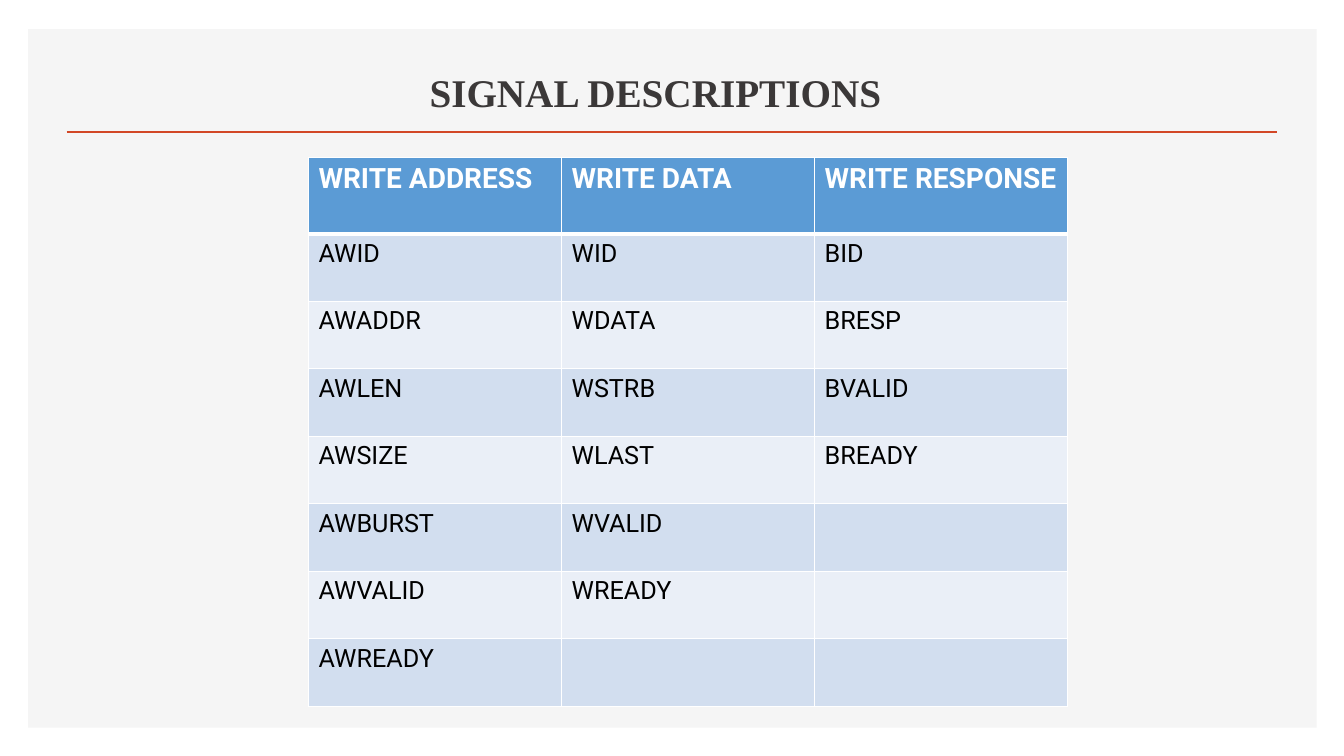
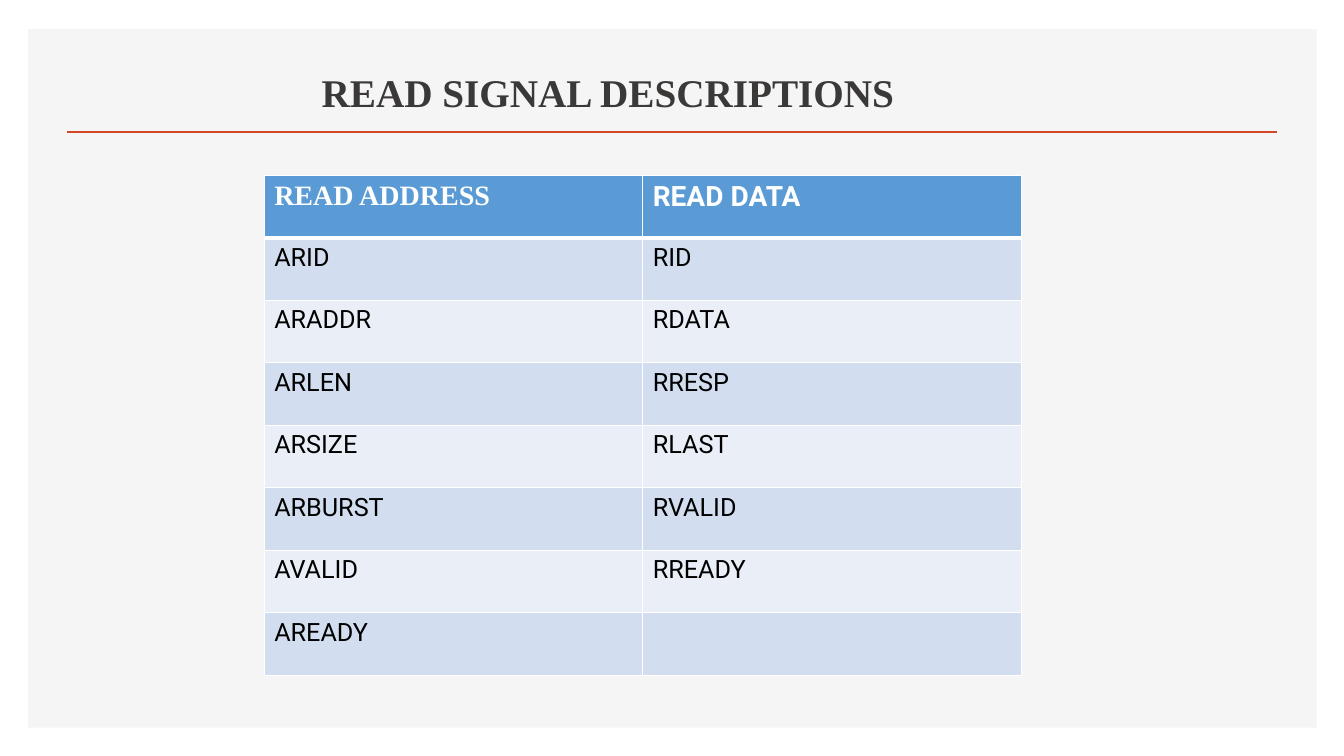
from lxml import etree
from pptx import Presentation
from pptx.dml.color import RGBColor
from pptx.enum.shapes import MSO_CONNECTOR, MSO_SHAPE
from pptx.enum.text import MSO_ANCHOR
from pptx.oxml.ns import qn
from pptx.util import Inches, Pt

COLORS = {
    "panel": "F5F5F5", "rule": "D24726", "title": "3B3838",
    "header": "5B9BD5", "odd": "D2DEEF", "even": "EAEFF7",
    "white": "FFFFFF", "black": "000000",
}
SERIF, SANS = "Times New Roman", "Roboto"

SLIDES = [
    {
        "title": "SIGNAL DESCRIPTIONS", "title_width": 11.24, "title_indent": 3.69,
        "left": 3.06, "top": 1.56, "col_width": 2.51,
        "header_height": 0.76, "row_height": 0.67,
        "header_fonts": [SANS, SANS, SANS],
        "rows": [
            ["WRITE ADDRESS", "WRITE DATA", "WRITE RESPONSE"],
            ["AWID", "WID", "BID"],
            ["AWADDR", "WDATA", "BRESP"],
            ["AWLEN", "WSTRB", "BVALID"],
            ["AWSIZE", "WLAST", "BREADY"],
            ["AWBURST", "WVALID", ""],
            ["AWVALID", "WREADY", ""],
            ["AWREADY", "", ""],
        ],
    },
    {
        "title": "READ SIGNAL DESCRIPTIONS", "title_width": 10.59, "title_indent": 2.62,
        "left": 2.62, "top": 1.74, "col_width": 3.755,
        "header_height": 0.62, "row_height": 0.62,
        "header_fonts": [SERIF, SANS],
        "rows": [
            ["READ ADDRESS", "READ DATA"],
            ["ARID", "RID"],
            ["ARADDR", "RDATA"],
            ["ARLEN", "RRESP"],
            ["ARSIZE", "RLAST"],
            ["ARBURST", "RVALID"],
            ["AVALID", "RREADY"],
            ["AREADY", ""],
        ],
    },
]


def rgb(name):
    return RGBColor.from_string(COLORS[name])


def set_borders(cell, top, bottom):
    """Draw white borders; top and bottom are widths in points, the sides are 1."""
    tc_pr = cell._tc.get_or_add_tcPr()
    for side, width in (("L", 1), ("R", 1), ("T", top), ("B", bottom)):
        ln = etree.SubElement(tc_pr, qn(f"a:ln{side}"), w=str(Pt(width)))
        fill = etree.SubElement(ln, qn("a:solidFill"))
        etree.SubElement(fill, qn("a:srgbClr"), val=COLORS["white"])


prs = Presentation()
prs.slide_width, prs.slide_height = Inches(13.33), Inches(7.5)

for data in SLIDES:
    s = prs.slides.add_slide(prs.slide_layouts[6])

    panel = s.shapes.add_shape(MSO_SHAPE.RECTANGLE, Inches(0.28), Inches(0.29),
                               Inches(12.78), Inches(6.93))
    panel.shadow.inherit = False
    panel.fill.solid()
    panel.fill.fore_color.rgb = rgb("panel")
    panel.line.fill.background()

    rule = s.shapes.add_connector(MSO_CONNECTOR.STRAIGHT, Inches(0.66), Inches(1.31),
                                  Inches(12.67), Inches(1.31))
    rule.line.color.rgb = rgb("rule")
    rule.line.width = Pt(2)
    etree.SubElement(rule._element.spPr, qn("a:effectLst"))

    title = s.shapes.add_textbox(Inches(0.57), Inches(0.49),
                                 Inches(data["title_width"]), Inches(0.7))
    tf = title.text_frame
    tf.word_wrap = True
    tf.vertical_anchor = MSO_ANCHOR.BOTTOM
    tf.margin_left = Inches(data["title_indent"])
    tf.text = data["title"]
    font = tf.paragraphs[0].runs[0].font
    font.name, font.size, font.bold = SERIF, Pt(28), True
    font.color.rgb = rgb("title")

    rows = data["rows"]
    n_rows, n_cols = len(rows), len(rows[0])
    height = data["header_height"] + (n_rows - 1) * data["row_height"]
    table = s.shapes.add_table(n_rows, n_cols, Inches(data["left"]), Inches(data["top"]),
                               Inches(n_cols * data["col_width"]), Inches(height)).table
    for col in table.columns:
        col.width = Inches(data["col_width"])

    for i, texts in enumerate(rows):
        is_header = i == 0
        table.rows[i].height = Inches(data["header_height" if is_header else "row_height"])
        fill = "header" if is_header else "odd" if i % 2 else "even"
        for j, text in enumerate(texts):
            cell = table.cell(i, j)
            set_borders(cell, top=3 if i == 1 else 1, bottom=3 if is_header else 1)
            cell.fill.solid()
            cell.fill.fore_color.rgb = rgb(fill)
            cell.text_frame.text = text
            for r in cell.text_frame.paragraphs[0].runs:
                r.font.name = data["header_fonts"][j] if is_header else SANS
                r.font.size = Pt(20 if is_header else 18)
                r.font.bold = is_header
                r.font.color.rgb = rgb("white" if is_header else "black")

prs.save("out.pptx")
